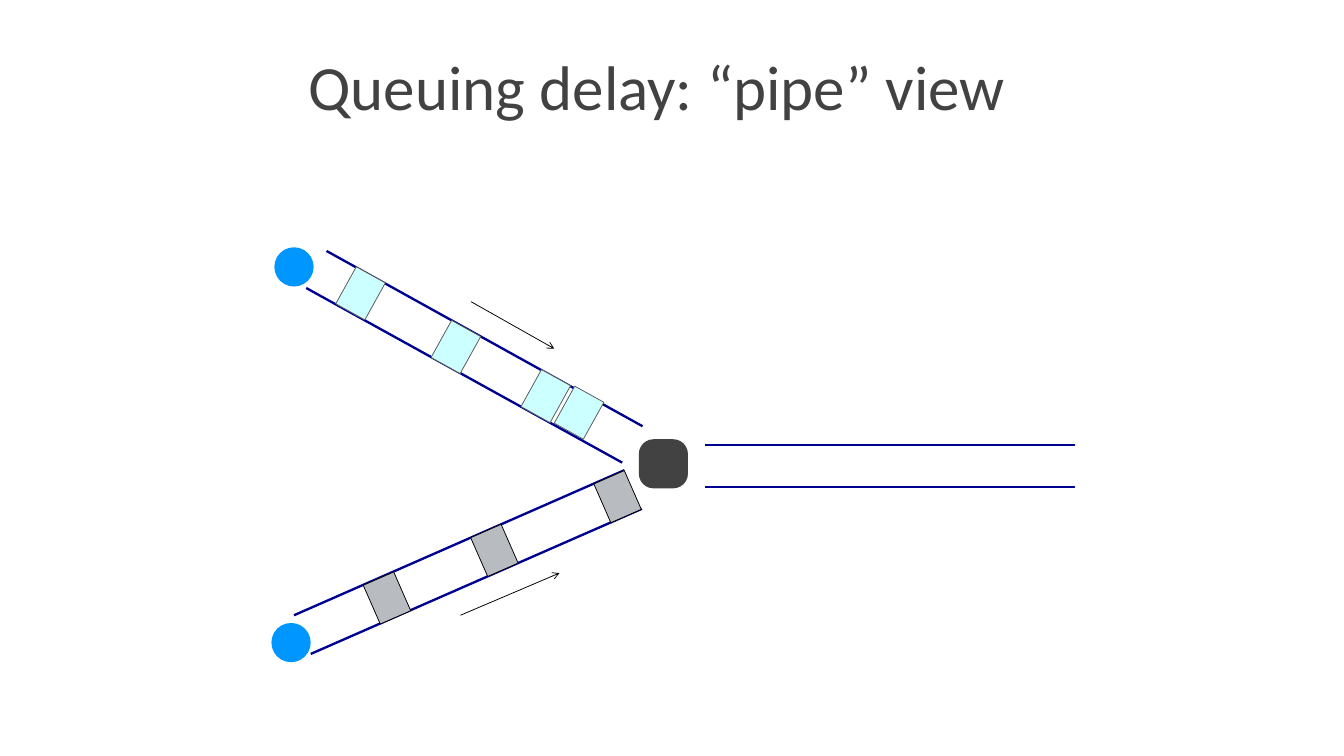
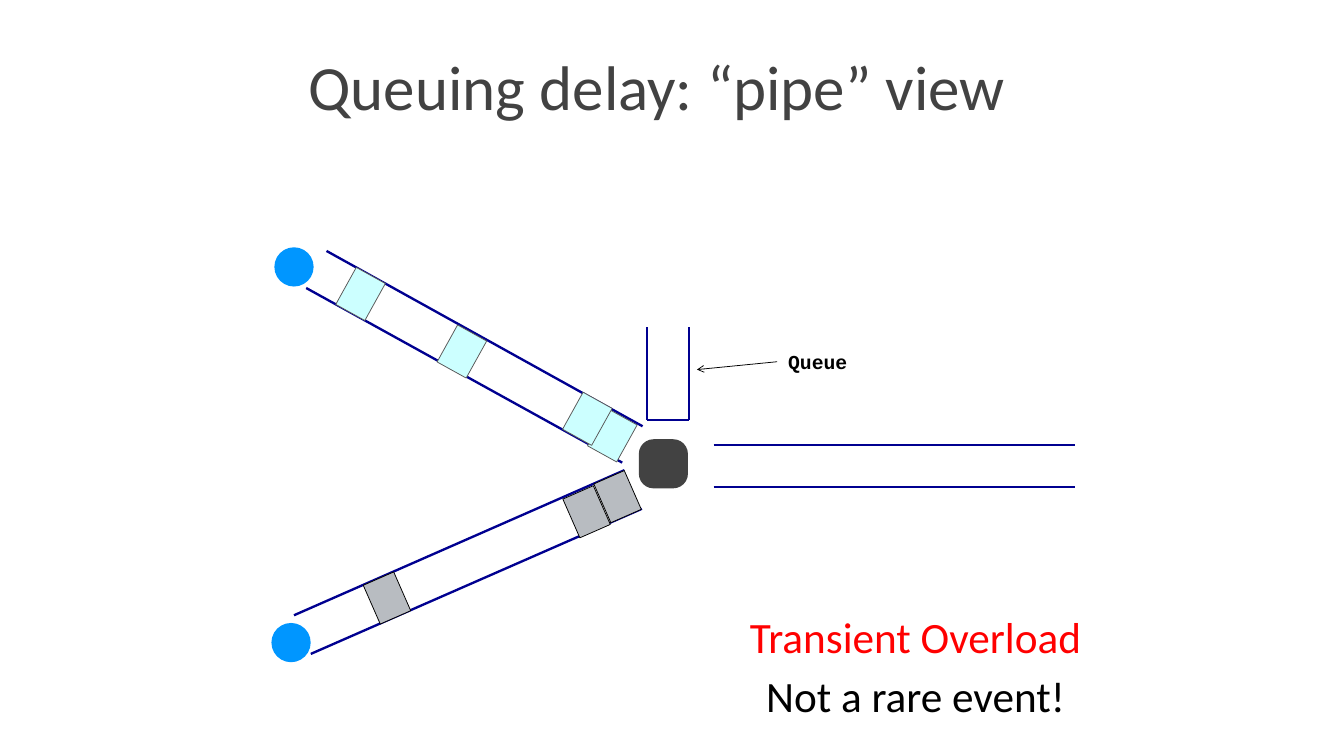
from dataclasses import dataclass

from lxml import etree
from pptx import Presentation
from pptx import util as u
from pptx.dml.color import RGBColor
from pptx.enum import shapes, text
from pptx.oxml import ns

Pt = u.Pt


@dataclass(frozen=True)
class Theme:
    ink: str = "424242"
    black: str = "000000"
    alert: str = "FF0000"
    pipe: str = "000090"
    source: str = "0096FF"
    upper_packet: tuple = ("CCFFFF", "595959")
    lower_packet: tuple = ("B8BCC1", "000000")
    font: str = "Calibri"
    label_font: str = "Courier New"
    title_size: float = 60
    note_size: float = 41.2
    label_size: float = 18.8
    pipe_width: float = 2.25
    thin_width: float = 0.75


THEME = Theme()
TITLE = "Queuing delay: “pipe” view"

# Each pipe is a pair of parallel walls: (start, end), in points.
UPPER_PIPE = (((311, 239), (612, 406)), ((291.6, 274.3), (592.6, 440.6)))
LOWER_PIPE = (((280, 586), (594.7, 447.8)), ((296, 622.8), (611.3, 484.6)))
UPPER_ANGLE, LOWER_ANGLE = 29, 336.3
PACKET_SIZE = (31.7, 40.3)
SOURCES = ((280, 254.2), (277.2, 612))
SOURCE_SIZE = 37.4
ROUTER = (631.8, 441.7)
ROUTER_SIZE = 46.8
OUT_WALLS = (424, 463.7)
OUT_LENGTH = 344
OUT_START = 679.7


def rgb(color):
    return RGBColor.from_string(color)


def write(frame, content, *, size, color, font=THEME.font, bold=False,
          align=text.PP_ALIGN.CENTER, wrap=True, margins=(9.4, 5),
          anchor=text.MSO_ANCHOR.TOP, fit=text.MSO_AUTO_SIZE.SHAPE_TO_FIT_TEXT):
    """Fill a text frame; margins are (horizontal, vertical)."""
    frame.word_wrap = wrap
    frame.auto_size = fit
    frame.vertical_anchor = anchor
    frame.margin_left = frame.margin_right = Pt(margins[0])
    frame.margin_top = frame.margin_bottom = Pt(margins[1])
    paragraph = frame.paragraphs[0]
    paragraph.alignment = align
    run = paragraph.add_run()
    run.text = content
    run.font.size, run.font.name, run.font.bold = Pt(size), font, bold
    run.font.color.rgb = rgb(color)


def add_text(slide, content, left, top, width, height, **style):
    box = slide.shapes.add_textbox(Pt(left), Pt(top), Pt(width), Pt(height))
    write(box.text_frame, content, **style)
    return box


def add_centred(slide, kind, centre, size, fill, line=None, angle=0):
    width, height = size
    shape = slide.shapes.add_shape(
        kind, Pt(centre[0] - width / 2), Pt(centre[1] - height / 2),
        Pt(width), Pt(height))
    shape.rotation = angle
    shape.shadow.inherit = False
    shape.fill.solid()
    shape.fill.fore_color.rgb = rgb(fill)
    if line:
        shape.line.color.rgb = rgb(line)
        shape.line.width = Pt(THEME.thin_width)
    else:
        shape.line.fill.background()
    return shape


def add_line(slide, start, end, color=THEME.pipe, width=THEME.pipe_width):
    line = slide.shapes.add_connector(
        shapes.MSO_CONNECTOR.STRAIGHT, *map(Pt, (*start, *end)))
    line.line.color.rgb = rgb(color)
    line.line.width = Pt(width)
    etree.SubElement(line._element.spPr, ns.qn("a:effectLst"))
    return line


def add_arrow(slide, start, end):
    arrow = add_line(slide, start, end, THEME.black, THEME.thin_width)
    etree.SubElement(arrow.line._get_or_add_ln(), ns.qn("a:tailEnd"), type="arrow")
    return arrow


def add_pipe(slide, walls):
    for start, end in walls:
        add_line(slide, start, end)


def add_packets(slide, centres, colors, angle):
    for centre in centres:
        add_centred(slide, shapes.MSO_SHAPE.RECTANGLE, centre, PACKET_SIZE,
                    *colors, angle)


def add_outgoing_pipe(slide, left):
    add_pipe(slide, [((left, y), (left + OUT_LENGTH, y)) for y in OUT_WALLS])


def add_queue(slide):
    left, right, top, bottom = 616.3, 656, 311.8, 400.3
    add_pipe(slide, (((left, top), (left, bottom)),
                     ((right, top), (right, bottom)),
                     ((left, bottom), (right, bottom))))
    label = add_text(slide, "Queue", 740.2, 328.3, 76.3, 32.4,
                     size=THEME.label_size, color=THEME.black,
                     font=THEME.label_font, bold=True, wrap=False,
                     align=text.PP_ALIGN.RIGHT)
    add_arrow(slide, (740.2, 344.5), (663.8, 352)).begin_connect(label, 1)


def add_network_slide(deck, upper_packets, lower_packets):
    """Add a titled slide with two sources feeding one router."""
    slide = deck.slides.add_slide(deck.slide_layouts[5])
    title = slide.shapes.title
    title.left, title.top, title.width, title.height = map(
        Pt, (200.2, 23, 851, 116.6))
    write(title.text_frame, TITLE, size=THEME.title_size, color=THEME.ink,
          margins=(4.3, 4.3), anchor=text.MSO_ANCHOR.MIDDLE,
          fit=text.MSO_AUTO_SIZE.NONE)
    add_pipe(slide, UPPER_PIPE)
    add_pipe(slide, LOWER_PIPE)
    add_packets(slide, upper_packets, THEME.upper_packet, UPPER_ANGLE)
    add_packets(slide, lower_packets, THEME.lower_packet, LOWER_ANGLE)
    add_outgoing_pipe(slide, OUT_START)
    for centre in SOURCES:
        add_centred(slide, shapes.MSO_SHAPE.OVAL, centre,
                    (SOURCE_SIZE, SOURCE_SIZE), THEME.source)
    router = add_centred(slide, shapes.MSO_SHAPE.ROUNDED_RECTANGLE, ROUTER,
                         (ROUTER_SIZE, ROUTER_SIZE), THEME.ink)
    router.adjustments[0] = 0.3
    return slide


def main():
    deck = Presentation()
    deck.slide_width, deck.slide_height = Pt(1280), Pt(720)

    flow = add_network_slide(
        deck,
        [(551.5, 393.1), (519.8, 377.3), (434.2, 330.5), (343.4, 279.4)],
        [(368.6, 569.5), (588.2, 473), (470.9, 524.2)])
    add_outgoing_pipe(flow, OUT_START - 8)
    add_arrow(flow, (448.6, 287.3), (527.8, 332))
    add_arrow(flow, (438.5, 586), (532.8, 545.8))

    overload = add_network_slide(
        deck,
        [(583.2, 414.7), (559.4, 398.9), (439.9, 334.8), (343.4, 280)],
        [(368.6, 569.5), (588.2, 473), (558.7, 487.4)])
    add_queue(overload)
    notes = (("Transient Overload", THEME.alert),
             ("Not a rare event!", THEME.black))
    for row, (note, color) in enumerate(notes):
        add_text(overload, note, 648, 576 + row * 56.2, 448, 59.8,
                 size=THEME.note_size, color=color)

    deck.save("out.pptx")


if __name__ == "__main__":
    main()
